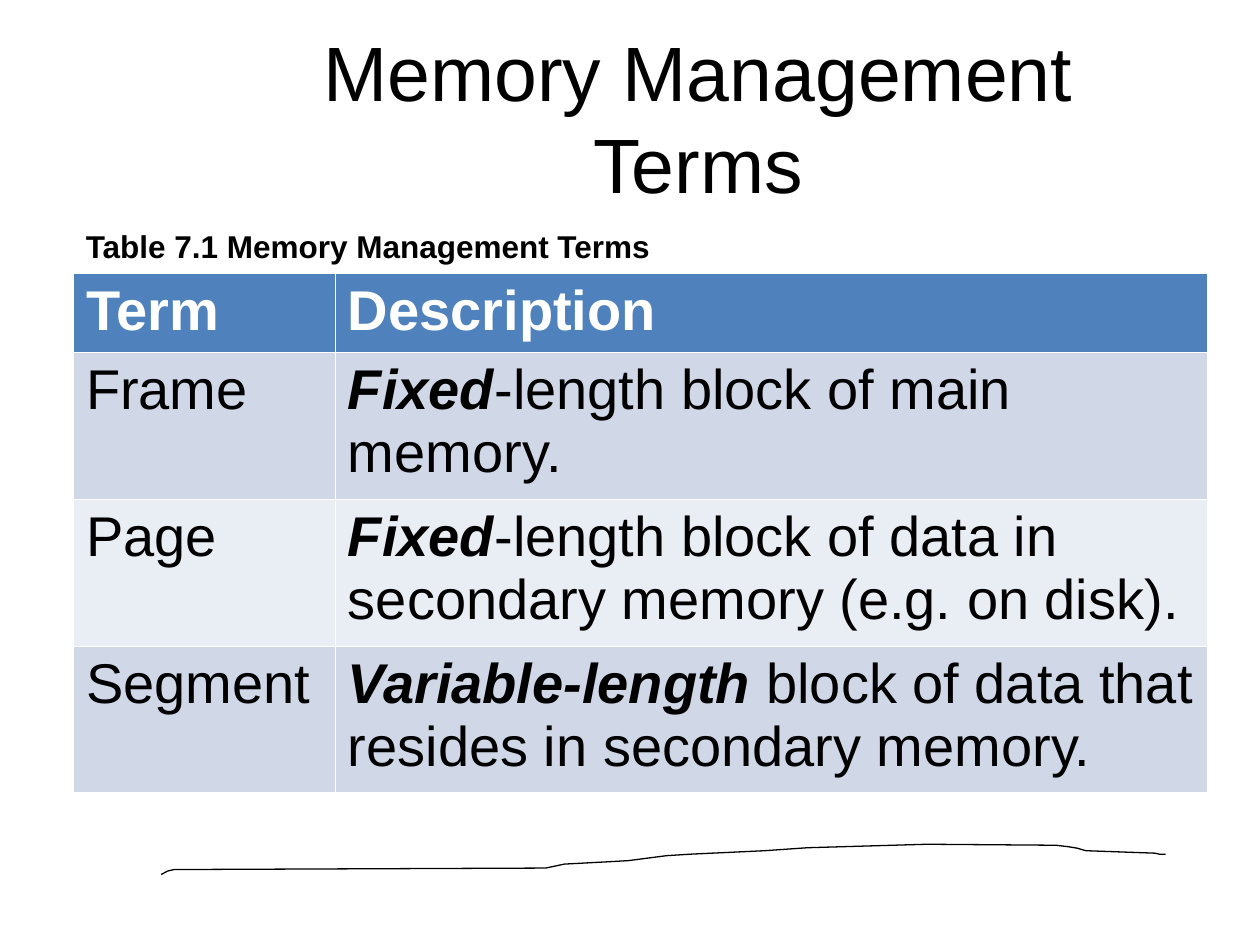
"""Build the slide that defines memory management terms."""
from dataclasses import dataclass

from pptx import Presentation
from pptx.dml.color import RGBColor
from pptx.enum import text
from pptx.slide import Slide
from pptx.util import Cm, Pt

TERMS = [
    ("Frame", "Fixed", "-length block of main memory."),
    ("Page", "Fixed", "-length block of data in secondary memory (e.g. on disk)."),
    ("Segment", "Variable-length", " block of data that resides in secondary memory."),
]
WAVE = [
    (325, 1763), (338, 1756), (351, 1753), (1100, 1750), (1138, 1742),
    (1232, 1737), (1267, 1735), (1344, 1725), (1392, 1722), (1542, 1715),
    (1628, 1709), (1869, 1702), (2129, 1704), (2154, 1707), (2172, 1710),
    (2189, 1715), (2329, 1720), (2337, 1722), (2350, 1722),
]


def color(value):
    return RGBColor.from_string(value)


@dataclass
class TermSlide:
    slide: Slide
    font: str = "Arial"
    ink: str = "000000"
    paper: str = "FFFFFF"
    header: str = "4F81BD"
    bands: tuple = ("D0D8E8", "E9EDF4")

    def style(self, paragraph, size, ink=None, bold=False):
        font = paragraph.font
        font.name, font.size, font.bold = self.font, Pt(size), bold
        font.color.rgb = color(ink or self.ink)

    def title(self, wording, left, top, width, height):
        title = self.slide.shapes.title
        title.left, title.top = Cm(left), Cm(top)
        title.width, title.height = Cm(width), Cm(height)
        frame = title.text_frame
        frame.text = wording
        frame.word_wrap = True
        frame.auto_size = text.MSO_AUTO_SIZE.NONE
        frame.vertical_anchor = text.MSO_ANCHOR.MIDDLE
        frame.paragraphs[0].alignment = text.PP_ALIGN.CENTER
        self.style(frame.paragraphs[0], 44)

    def caption(self, wording, left, top, width, height):
        caption = self.slide.shapes.add_textbox(Cm(left), Cm(top), Cm(width), Cm(height))
        frame = caption.text_frame
        frame.text = wording
        frame.word_wrap = True
        frame.auto_size = text.MSO_AUTO_SIZE.SHAPE_TO_FIT_TEXT
        self.style(frame.paragraphs[0], 18, bold=True)

    def cell(self, cell, fill, runs, ink=None, bold=False):
        cell.fill.solid()
        cell.fill.fore_color.rgb = color(fill)
        paragraph = cell.text_frame.paragraphs[0]
        self.style(paragraph, 32, ink, bold)
        for wording, strong in runs:
            run = paragraph.add_run()
            run.text = wording
            run.font.bold = strong or bold
            run.font.italic = strong

    def table(self, headings, terms, left, top, widths, header_height, row_height):
        height = header_height + row_height * len(terms)
        table = self.slide.shapes.add_table(
            len(terms) + 1, len(widths), Cm(left), Cm(top), Cm(sum(widths)), Cm(height)
        ).table
        for column, width in zip(table.columns, widths):
            column.width = Cm(width)
        table.rows[0].height = Cm(header_height)
        for column, heading in enumerate(headings):
            self.cell(table.cell(0, column), self.header, [(heading, False)], self.paper, True)
        for row, (term, emphasis, rest) in enumerate(terms, 1):
            table.rows[row].height = Cm(row_height)
            band = self.bands[(row - 1) % 2]
            self.cell(table.cell(row, 0), band, [(term, False)])
            self.cell(table.cell(row, 1), band, [(emphasis, True), (rest, False)])

    def wave(self, points):
        builder = self.slide.shapes.build_freeform(*points[0], scale=Cm(0.01))
        builder.add_line_segments(points[1:], close=False)
        wave = builder.convert_to_shape()
        wave.shadow.inherit = False
        wave.fill.background()
        wave.line.color.rgb = color(self.ink)
        wave.line.width = Pt(0.75)


def main():
    deck = Presentation()
    deck.slide_width, deck.slide_height = Cm(25.4), Cm(19.05)
    page = TermSlide(deck.slides.add_slide(deck.slide_layouts[5]))
    page.wave(WAVE)
    page.title("Memory Management Terms", 4.02, 0.76, 20.11, 3.18)
    page.table(("Term", "Description"), TERMS, 1.48, 5.51, (5.28, 17.58), 1.6, 2.96)
    page.caption("Table 7.1 Memory Management Terms", 1.48, 4.45, 12, 1.02)
    deck.save("out.pptx")


if __name__ == "__main__":
    main()
